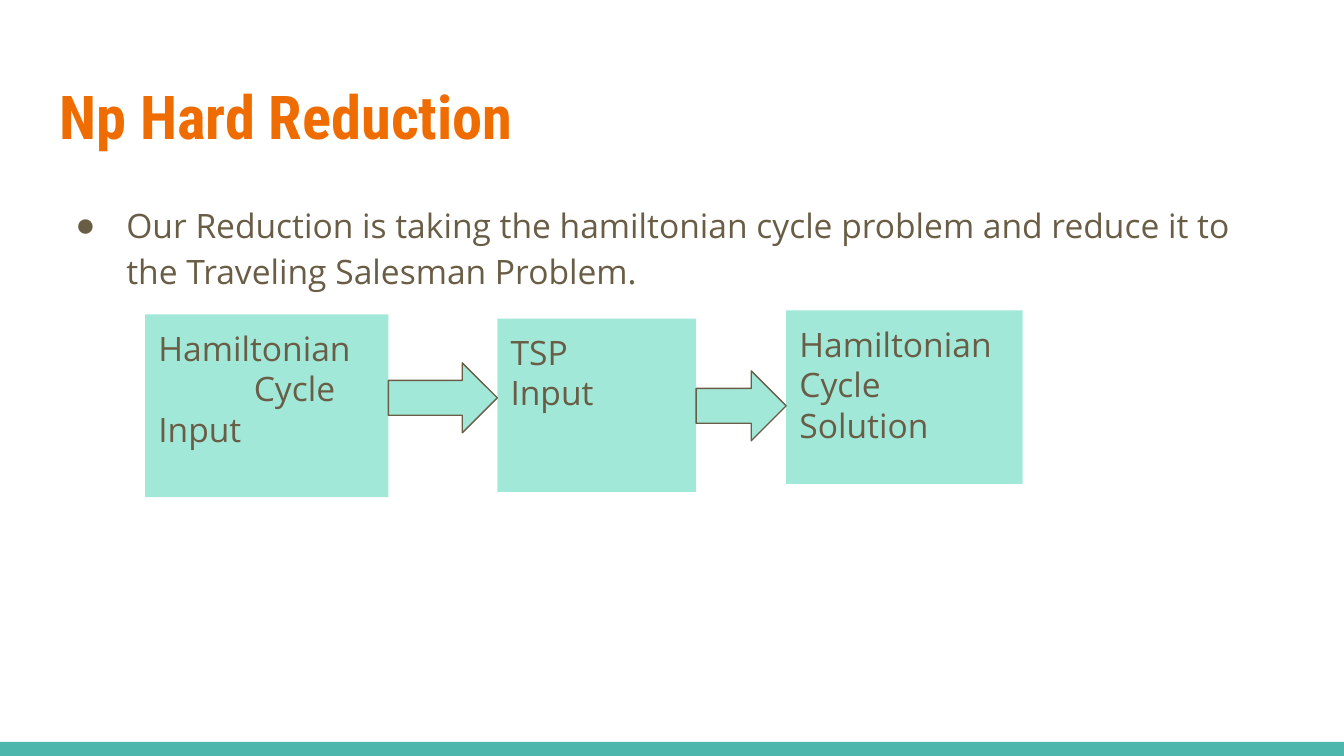
from dataclasses import dataclass

from lxml.etree import SubElement
from pptx import Presentation
from pptx.dml.color import RGBColor
from pptx.enum.shapes import MSO_SHAPE
from pptx.enum.text import MSO_ANCHOR, MSO_AUTO_SIZE, PP_ALIGN
from pptx.oxml.ns import qn
from pptx.util import Inches, Pt


@dataclass(frozen=True)
class Theme:
    heading_font: str = "Roboto Condensed"
    body_font: str = "Open Sans"
    heading_size: float = 32.4
    body_size: float = 18
    heading: RGBColor = RGBColor(0xEF, 0x6C, 0x00)
    ink: RGBColor = RGBColor(0x69, 0x5D, 0x46)
    mint: RGBColor = RGBColor(0xA1, 0xE8, 0xD9)
    teal: RGBColor = RGBColor(0x4D, 0xB6, 0xAC)


class SlideBuilder:
    def __init__(self, slide, theme):
        self.slide = slide
        self.theme = theme

    def _frame(self, shape):
        frame = shape.text_frame
        frame.word_wrap = True
        frame.auto_size = MSO_AUTO_SIZE.NONE
        frame.vertical_anchor = MSO_ANCHOR.TOP
        frame.margin_left = frame.margin_right = Inches(0.1)
        frame.margin_top = frame.margin_bottom = Inches(0.1)
        return frame

    def _place(self, shape, left, top, width, height):
        shape.left, shape.top = Inches(left), Inches(top)
        shape.width, shape.height = Inches(width), Inches(height)

    def _write(self, paragraph, text, font, size, color, bold=False):
        paragraph.alignment = PP_ALIGN.LEFT
        paragraph.space_before = Pt(0)
        run = paragraph.add_run()
        run.text = text
        run.font.name = font
        run.font.size = Pt(size)
        run.font.bold = bold
        run.font.color.rgb = color

    def _write_body(self, paragraph, text):
        theme = self.theme
        self._write(paragraph, text, theme.body_font, theme.body_size, theme.ink)

    def title(self, text, *box):
        theme = self.theme
        title = self.slide.shapes.title
        self._place(title, *box)
        self._write(self._frame(title).paragraphs[0], text, theme.heading_font,
                    theme.heading_size, theme.heading, bold=True)

    def bullet(self, text, *box):
        body = self.slide.placeholders[1]
        self._place(body, *box)
        paragraph = self._frame(body).paragraphs[0]
        self._write_body(paragraph, text)
        paragraph.line_spacing = 1.15
        properties = paragraph._p.get_or_add_pPr()
        properties.set("marL", str(Inches(0.5)))
        properties.set("indent", str(Inches(-0.38)))
        SubElement(properties, qn("a:buChar")).set("char", "●")

    def shape(self, kind, fill, *box, line=None):
        shape = self.slide.shapes.add_shape(kind, *map(Inches, box))
        shape.shadow.inherit = False
        shape.fill.solid()
        shape.fill.fore_color.rgb = fill
        if line is None:
            shape.line.fill.background()
        else:
            shape.line.color.rgb = line
            shape.line.width = Pt(0.75)
        return shape

    def step(self, paragraphs, *box):
        """Draw a box of text; each paragraph is a list of its lines."""
        step = self.shape(MSO_SHAPE.RECTANGLE, self.theme.mint, *box)
        frame = self._frame(step)
        for number, lines in enumerate(paragraphs):
            paragraph = frame.add_paragraph() if number else frame.paragraphs[0]
            for position, line in enumerate(lines):
                if position:
                    paragraph.add_line_break()
                self._write_body(paragraph, line)
            # Tab stop for an indented line
            tabs = SubElement(paragraph._p.get_or_add_pPr(), qn("a:tabLst"))
            tab = SubElement(tabs, qn("a:tab"))
            tab.set("pos", str(Inches(0.71)))
            tab.set("algn", "l")

    def arrow(self, *box):
        self.shape(MSO_SHAPE.RIGHT_ARROW, self.theme.mint, *box, line=self.theme.ink)


def main():
    deck = Presentation()
    deck.slide_width = Inches(10)
    deck.slide_height = deck.slide_width * 9 // 16
    theme = Theme()
    builder = SlideBuilder(deck.slides.add_slide(deck.slide_layouts[1]), theme)

    # Footer band
    builder.shape(MSO_SHAPE.RECTANGLE, theme.teal, 0, 5.52, 10, 0.11)

    # Title and statement
    builder.title("Np Hard Reduction", 0.34, 0.49, 9.32, 0.77)
    builder.bullet("Our Reduction is taking the hamiltonian cycle problem and "
                   "reduce it to the Traveling Salesman Problem.",
                   0.34, 1.38, 9.32, 3.61)

    # Reduction steps: paragraphs, left, top, width, height
    steps = [
        ([["Hamiltonian", "\tCycle", "Input"]], 1.08, 2.34, 1.81, 1.36),
        ([["TSP"], ["Input"]], 3.7, 2.37, 1.48, 1.29),
        ([["Hamiltonian Cycle Solution"]], 5.85, 2.31, 1.76, 1.29),
    ]
    for step in steps:
        builder.step(*step)

    # Arrows fill the gaps between neighbouring steps
    for before, after, top in zip(steps, steps[1:], (2.7, 2.76)):
        left = before[1] + before[3]
        builder.arrow(left, top, after[1] - left, 0.52)

    deck.save("out.pptx")


if __name__ == "__main__":
    main()
